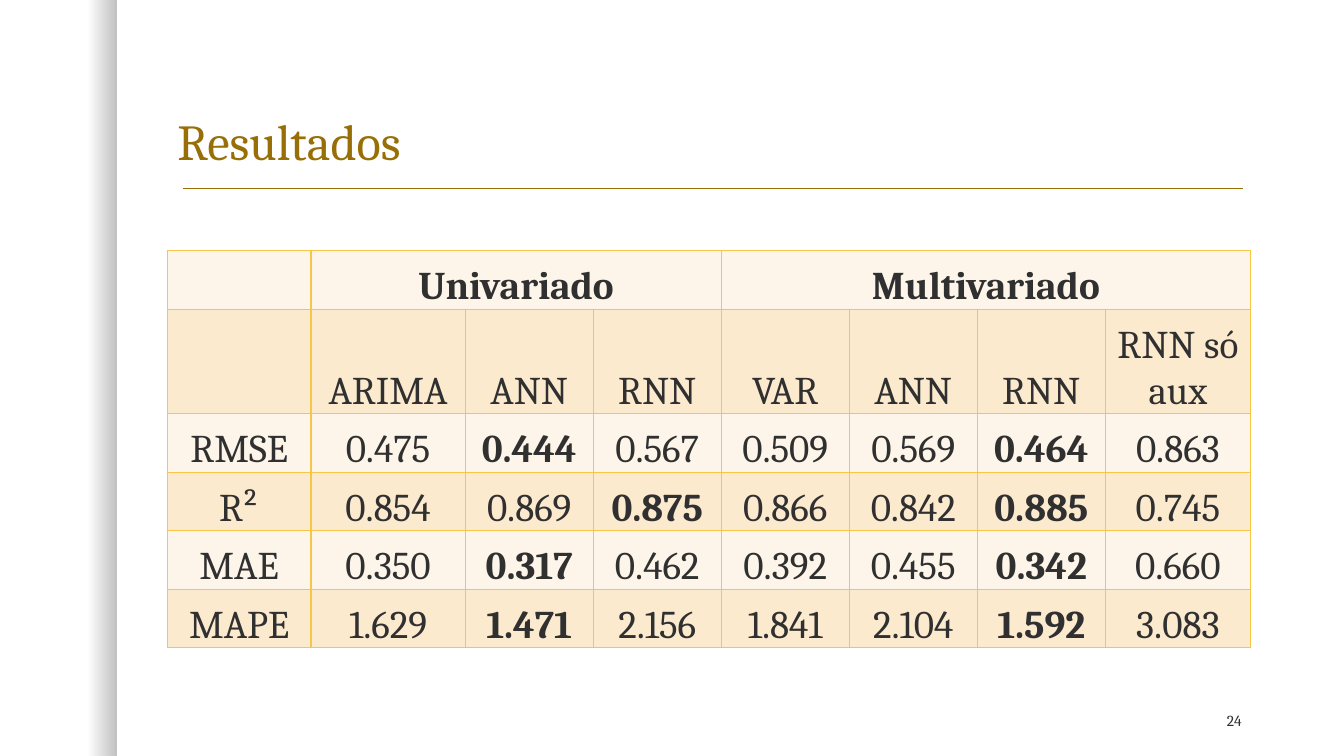
from lxml import etree
from pptx import Presentation
from pptx.dml.color import RGBColor
from pptx.enum.shapes import MSO_CONNECTOR, MSO_SHAPE
from pptx.enum.text import MSO_ANCHOR, PP_ALIGN
from pptx.oxml.ns import qn
from pptx.util import Pt

RECTANGLE = MSO_SHAPE.RECTANGLE
STRAIGHT = MSO_CONNECTOR.STRAIGHT
BOTTOM, MIDDLE = MSO_ANCHOR.BOTTOM, MSO_ANCHOR.MIDDLE
LEFT, CENTER, RIGHT = PP_ALIGN.LEFT, PP_ALIGN.CENTER, PP_ALIGN.RIGHT

MODELS = ["ARIMA", "ANN", "RNN", "VAR", "ANN", "RNN", "RNN só aux"]
GROUPS = [("Univariado", 1, 3), ("Multivariado", 4, 7)]
METRICS = [
    ("RMSE", min, ["0.475", "0.444", "0.567", "0.509", "0.569", "0.464", "0.863"]),
    ("R²", max, ["0.854", "0.869", "0.875", "0.866", "0.842", "0.885", "0.745"]),
    ("MAE", min, ["0.350", "0.317", "0.462", "0.392", "0.455", "0.342", "0.660"]),
    ("MAPE", min, ["1.629", "1.471", "2.156", "1.841", "2.104", "1.592", "3.083"]),
]
COLUMN_WIDTHS = [102.6, 110.2] + [91.45] * 5 + [103.7]
ROW_HEIGHTS = [41.8, 74.8] + [41.8] * 4


def rgb(code):
    return RGBColor.from_string(code)


class ResultsSlide:
    """Holds the style and the current slide, and adds each kind of element."""

    FONT = "Cambria"
    INK, GOLD, BORDER = "303030", "986F07", "F7C547"
    BANDS = ["FDF5E9", "FCEACF"]

    def __init__(self, deck):
        self.slide = deck.slides.add_slide(deck.slide_layouts[5])

    def set_text(self, paragraph, text, size, color, align, bold=False):
        paragraph.text = text
        paragraph.alignment = align
        font = paragraph.font
        font.name, font.size, font.bold = self.FONT, Pt(size), bold
        font.color.rgb = rgb(color)

    def shade(self, left, top, width, height, stops):
        band = self.slide.shapes.add_shape(
            RECTANGLE, Pt(left), Pt(top), Pt(width), Pt(height))
        band.shadow.inherit = False
        band.line.fill.background()
        band.fill.gradient()
        band.fill.gradient_angle = 0
        for stop, (position, color, _) in zip(band.fill.gradient_stops, stops):
            stop.position = position
            stop.color.rgb = rgb(color)
        for color, (_, _, opacity) in zip(band._element.iter(qn("a:srgbClr")), stops):
            etree.SubElement(color, qn("a:alpha"), val=str(opacity * 1000))

    def rule(self, left, right, y):
        line = self.slide.shapes.add_connector(
            STRAIGHT, Pt(left), Pt(y), Pt(right), Pt(y))
        line.line.color.rgb = rgb(self.GOLD)
        line.line.width = Pt(1)
        etree.SubElement(line._element.spPr, qn("a:effectLst"))

    def title(self, text, left, top, width, height):
        heading = self.slide.shapes.title
        heading.left, heading.top = Pt(left), Pt(top)
        heading.width, heading.height = Pt(width), Pt(height)
        heading.text_frame.vertical_anchor = BOTTOM
        heading.text_frame.word_wrap = True
        paragraph = heading.text_frame.paragraphs[0]
        self.set_text(paragraph, text, 36, self.GOLD, LEFT)
        paragraph.line_spacing = 0.9

    def page_number(self, text, left, top, width, height):
        frame = self.slide.shapes.add_textbox(
            Pt(left), Pt(top), Pt(width), Pt(height)).text_frame
        frame.word_wrap = True
        frame.vertical_anchor = MIDDLE
        self.set_text(frame.paragraphs[0], text, 11, self.INK, RIGHT)

    def border(self, cell):
        properties = cell._tc.get_or_add_tcPr()
        for position, side in enumerate(("a:lnL", "a:lnR", "a:lnT", "a:lnB")):
            edge = etree.Element(qn(side), w=str(Pt(1)))
            fill = etree.SubElement(edge, qn("a:solidFill"))
            etree.SubElement(fill, qn("a:srgbClr"), val=self.BORDER)
            properties.insert(position, edge)

    def table(self, left, top, widths, heights):
        grid = self.slide.shapes.add_table(
            len(heights), len(widths), Pt(left), Pt(top),
            Pt(sum(widths)), Pt(sum(heights))).table
        for column, width in zip(grid.columns, widths):
            column.width = Pt(width)
        for index, (row, height) in enumerate(zip(grid.rows, heights)):
            row.height = Pt(height)
            for cell in row.cells:
                cell.fill.solid()
                cell.fill.fore_color.rgb = rgb(self.BANDS[index % 2])
                self.border(cell)
        return grid

    def fill_cell(self, cell, text, bold=False):
        cell.vertical_anchor = BOTTOM
        cell.margin_left = cell.margin_right = cell.margin_top = Pt(1.44)
        cell.margin_bottom = Pt(0)
        self.set_text(cell.text_frame.paragraphs[0], text, 28, self.INK, CENTER, bold)


def main():
    deck = Presentation()
    deck.slide_width, deck.slide_height = Pt(960), Pt(540)
    page = ResultsSlide(deck)
    page.shade(0, 0, 83.5, 540, [(0.75, "000000", 0), (1, "000000", 25)])
    page.rule(130.5, 888, 134.6)
    page.title("Resultados", 119.5, 30, 774, 96)

    results = page.table(119.5, 179, COLUMN_WIDTHS, ROW_HEIGHTS)
    for group, first, last in GROUPS:
        results.cell(0, first).merge(results.cell(0, last))
        page.fill_cell(results.cell(0, first), group, bold=True)
    for column, model in enumerate(MODELS, 1):
        page.fill_cell(results.cell(1, column), model)
    for row, (metric, best_of, values) in enumerate(METRICS, 2):
        page.fill_cell(results.cell(row, 0), metric)
        for _, first, last in GROUPS:
            best = best_of(values[first - 1:last], key=float)
            for column in range(first, last + 1):
                value = values[column - 1]
                page.fill_cell(results.cell(row, column), value, value == best)

    page.page_number("24", 810, 504, 84, 21.6)
    deck.save("out.pptx")


if __name__ == "__main__":
    main()
